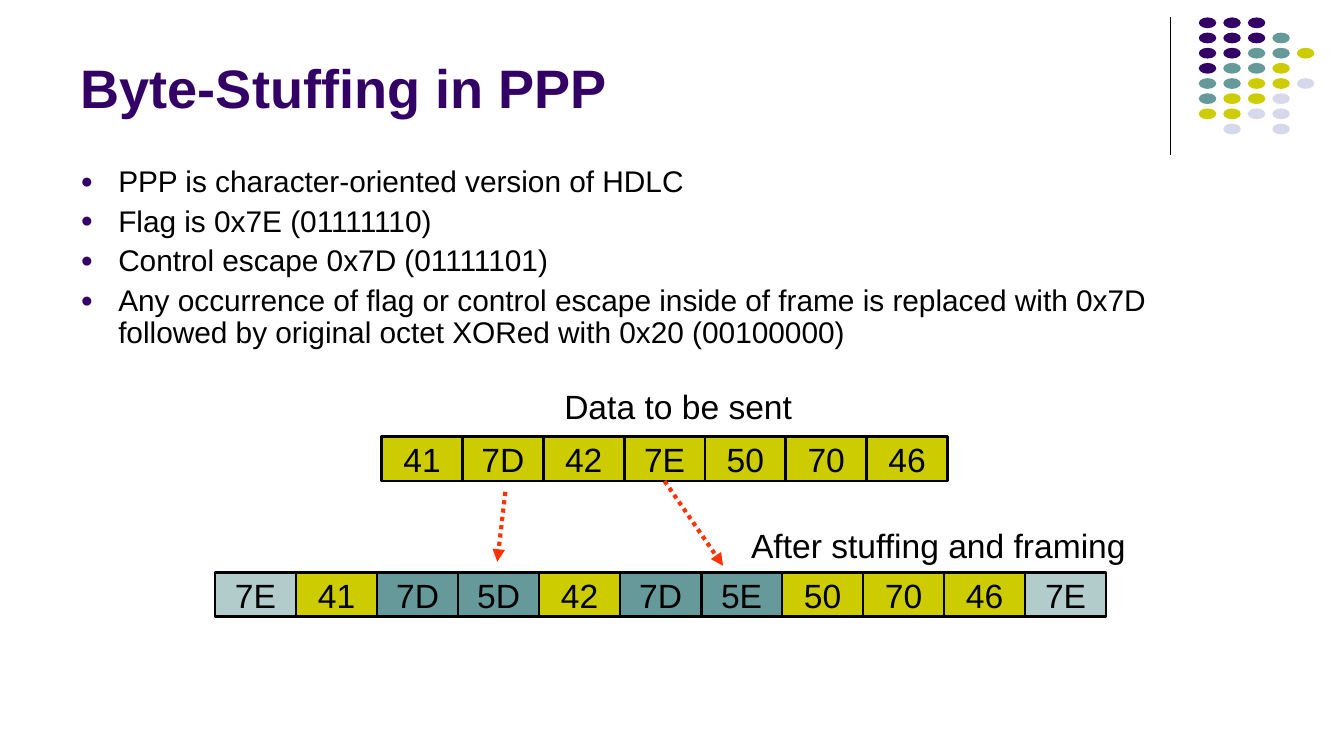
from collections import namedtuple
from dataclasses import dataclass

from lxml import etree
from pptx import Presentation
from pptx.dml.color import RGBColor
from pptx.enum.dml import MSO_LINE
from pptx.enum.shapes import MSO_CONNECTOR, MSO_SHAPE
from pptx.enum.text import MSO_ANCHOR, MSO_AUTO_SIZE, PP_ALIGN
from pptx.oxml.ns import qn
from pptx.util import Inches, Pt

LEFT, CENTER = PP_ALIGN.LEFT, PP_ALIGN.CENTER
TOP, MIDDLE, BOTTOM = MSO_ANCHOR.TOP, MSO_ANCHOR.MIDDLE, MSO_ANCHOR.BOTTOM
NO_AUTOFIT = MSO_AUTO_SIZE.NONE
STRAIGHT = MSO_CONNECTOR.STRAIGHT
RECTANGLE, OVAL = MSO_SHAPE.RECTANGLE, MSO_SHAPE.OVAL
DOTTED = MSO_LINE.ROUND_DOT
BOTTOM_SIDE = 2

Box = namedtuple("Box", "left top width height")


@dataclass(frozen=True)
class Theme:
    font: str = "Arial"
    text: str = "000000"
    purple: str = "330066"
    teal: str = "669999"
    olive: str = "CCCC00"
    lavender: str = "D8D8EC"
    pale_teal: str = "B1CCCB"
    arrow: str = "FF3300"
    title_size: int = 29
    body_size: int = 16
    diagram_size: int = 18


THEME = Theme()

BULLETS = [
    "PPP is character-oriented version of HDLC",
    "Flag is 0x7E (01111110)",
    "Control escape 0x7D (01111101)",
    "Any occurrence of flag or control escape inside of frame is replaced "
    "with 0x7D followed by original octet XORed with 0x20 (00100000)",
]
DATA_BYTES = "41 7D 42 7E 50 70 46".split()
FRAMED_BYTES = "7E 41 7D 5D 42 7D 5E 50 70 46 7E".split()
STUFFED_POSITIONS = {2, 3, 5, 6}

# P purple, T teal, O olive, L lavender
DOT_ROWS = ["PPP", "PPPT", "PPTTO", "PTTO", "TTOOL", "TOOL", "OOLL", " L L"]
DOT_COLORS = {"P": THEME.purple, "T": THEME.teal, "O": THEME.olive, "L": THEME.lavender}


def rgb(color):
    return RGBColor.from_string(color)


def in_inches(box):
    return [Inches(value) for value in box]


def place(shape, box):
    shape.left, shape.top, shape.width, shape.height = in_inches(box)


def write_text(frame, lines, *, size, color=THEME.text, bold=False, align=LEFT,
               anchor=TOP, wrap=True, right_inset=0.1):
    """Fill a text frame with one paragraph for each line."""
    frame.auto_size = NO_AUTOFIT
    frame.word_wrap = wrap
    frame.vertical_anchor = anchor
    frame.margin_left, frame.margin_right = Inches(0.1), Inches(right_inset)
    frame.margin_top = frame.margin_bottom = Inches(0.05)
    frame.text = "\n".join(lines)
    for paragraph in frame.paragraphs:
        paragraph.alignment = align
        font = paragraph.runs[0].font
        font.name, font.size, font.bold = THEME.font, Pt(size), bold
        font.color.rgb = rgb(color)


def add_bullet(paragraph):
    properties = paragraph._p.get_or_add_pPr()
    properties.set("marL", str(Inches(0.28)))
    properties.set("indent", str(Inches(-0.28)))
    color = etree.SubElement(properties, qn("a:buClr"))
    etree.SubElement(color, qn("a:srgbClr"), val=THEME.purple)
    etree.SubElement(properties, qn("a:buSzPct"), val="70000")
    etree.SubElement(properties, qn("a:buFont"), typeface=THEME.font)
    etree.SubElement(properties, qn("a:buChar"), char="●")


def add_filled_shape(shapes, kind, box, color):
    shape = shapes.add_shape(kind, *in_inches(box))
    shape.shadow.inherit = False
    shape.fill.solid()
    shape.fill.fore_color.rgb = rgb(color)
    shape.line.fill.background()
    return shape


def add_line(shapes, start, end, color, width):
    line = shapes.add_connector(STRAIGHT, *in_inches(start + end))
    line.line.color.rgb = rgb(color)
    line.line.width = Pt(width)
    etree.SubElement(line._element.spPr, qn("a:effectLst"))
    return line


def add_arrow(shapes, start, end):
    arrow = add_line(shapes, start, end, THEME.arrow, 2.25)
    arrow.line.dash_style = DOTTED
    etree.SubElement(arrow.line._get_or_add_ln(), qn("a:tailEnd"), type="triangle")
    return arrow


def add_label(shapes, box, text):
    label = shapes.add_textbox(*in_inches(box))
    write_text(label.text_frame, [text], size=THEME.diagram_size, wrap=False)


def add_byte_row(shapes, box, values, colors):
    """Split the box into equal cells, one for each byte."""
    width = box.width / len(values)
    cells = []
    for index, (value, color) in enumerate(zip(values, colors)):
        cell_box = Box(box.left + index * width, box.top, width, box.height)
        cell = add_filled_shape(shapes, RECTANGLE, cell_box, color)
        cell.line.color.rgb = rgb(THEME.text)
        cell.line.width = Pt(1.5)
        write_text(cell.text_frame, [value], size=THEME.diagram_size,
                   align=CENTER, anchor=MIDDLE, wrap=False)
        cells.append(cell)
    return cells


def add_corner_ornament(slide, box):
    """Draw the vertical rule on the box's left edge and the dots beside it."""
    add_line(slide.shapes, (box.left, box.top), (box.left, box.top + box.height),
             THEME.text, 0.75)
    dot_width, dot_height = 0.13, 0.08
    dots_left = box.left + 0.21
    column_step = (box.left + box.width - dots_left - dot_width) / 4
    row_step = 0.79 / (len(DOT_ROWS) - 1)
    dots = slide.shapes.add_group_shape().shapes
    for row, codes in enumerate(DOT_ROWS):
        for column, code in enumerate(codes):
            if code in DOT_COLORS:
                dot_box = Box(dots_left + column * column_step,
                              box.top + row * row_step, dot_width, dot_height)
                add_filled_shape(dots, OVAL, dot_box, DOT_COLORS[code])


def fill_title(slide, box):
    title = slide.shapes.title
    place(title, box)
    write_text(title.text_frame, ["Byte-Stuffing in PPP"], size=THEME.title_size,
               color=THEME.purple, bold=True, anchor=BOTTOM)


def fill_body(slide, box):
    body = slide.placeholders[1]
    place(body, box)
    write_text(body.text_frame, BULLETS, size=THEME.body_size, right_inset=0.2)
    for paragraph in body.text_frame.paragraphs:
        paragraph.line_spacing = 0.9
        paragraph.space_before = Pt(4)
        add_bullet(paragraph)


def add_stuffing_diagram(slide, box):
    """Show the data bytes above the framed bytes, with arrows between them."""
    shapes = slide.shapes.add_group_shape().shapes
    left, top = box.left, box.top
    cell_height = 0.33

    add_label(shapes, Box(left + 2.5, top, 1.89, 0.4), "Data to be sent")
    data_cells = add_byte_row(
        shapes, Box(left + 1.24, top + 0.43, 4.21, cell_height),
        DATA_BYTES, [THEME.olive] * len(DATA_BYTES))

    add_label(shapes, Box(left + 3.89, top + 1.04, 2.99, 0.4),
              "After stuffing and framing")
    last = len(FRAMED_BYTES) - 1
    framed_colors = [
        THEME.pale_teal if index in (0, last)
        else THEME.teal if index in STUFFED_POSITIONS
        else THEME.olive
        for index in range(len(FRAMED_BYTES))]
    add_byte_row(shapes, Box(left, top + box.height - cell_height, 6.63, cell_height),
                 FRAMED_BYTES, framed_colors)

    add_arrow(shapes, (left + 2.16, top + 0.84), (left + 2.1, top + 1.36))
    flag_arrow = add_arrow(shapes, (left + 3.37, top + 0.76), (left + 3.78, top + 1.39))
    flag_arrow.begin_connect(data_cells[DATA_BYTES.index("7E")], BOTTOM_SIDE)


def main():
    presentation = Presentation()
    presentation.slide_width = Inches(10)
    presentation.slide_height = Inches(10 * 9 / 16)
    slide = presentation.slides.add_slide(presentation.slide_layouts[1])
    add_corner_ornament(slide, Box(8.71, 0.13, 1.07, 1.02))
    fill_title(slide, Box(0.5, 0.1, 8.25, 0.84))
    fill_body(slide, Box(0.5, 1.19, 9, 1.86))
    add_stuffing_diagram(slide, Box(1.6, 2.82, 6.88, 1.77))
    presentation.save("out.pptx")


if __name__ == "__main__":
    main()
